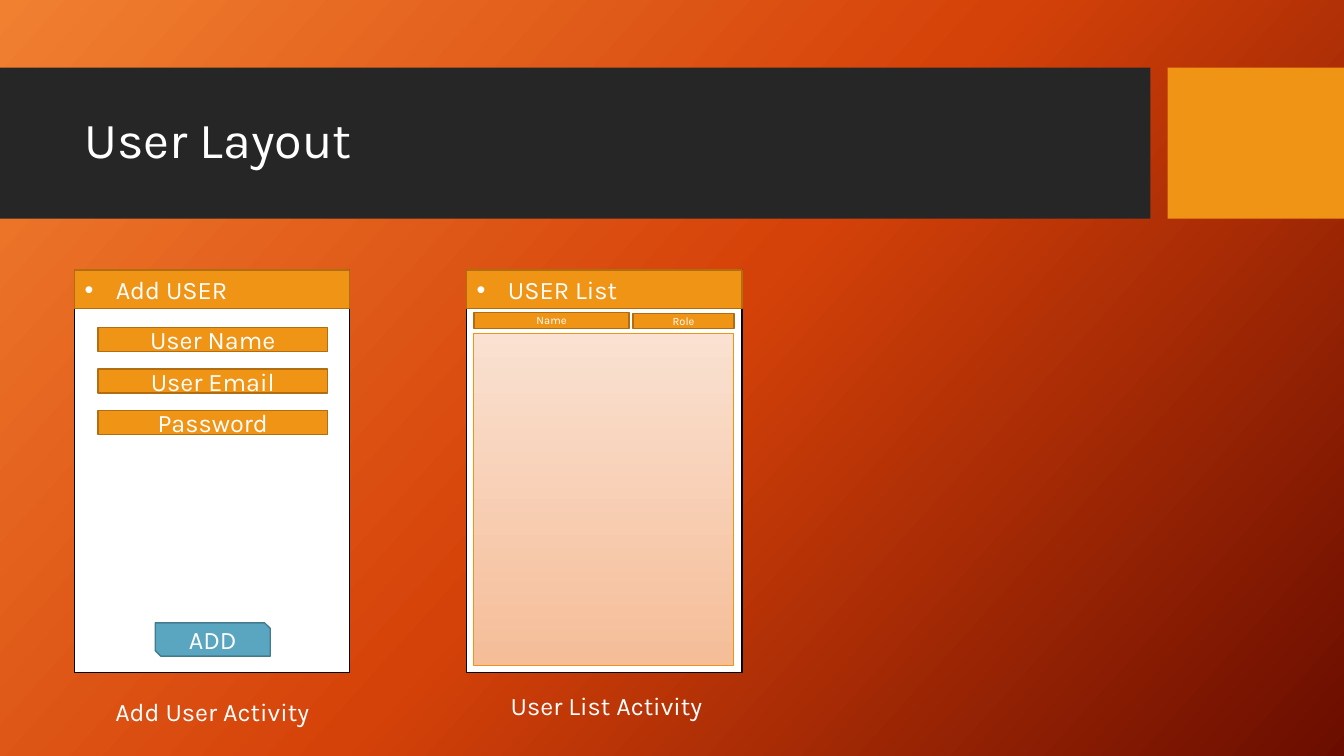
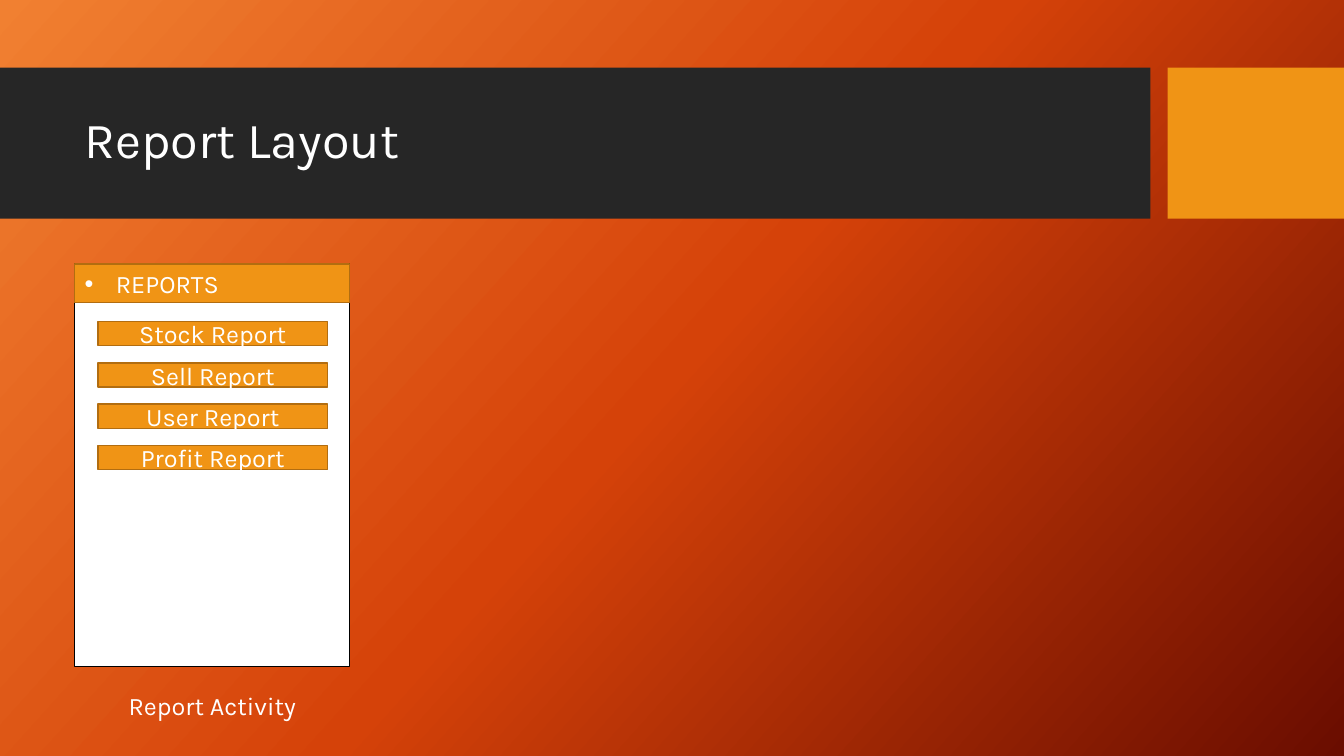
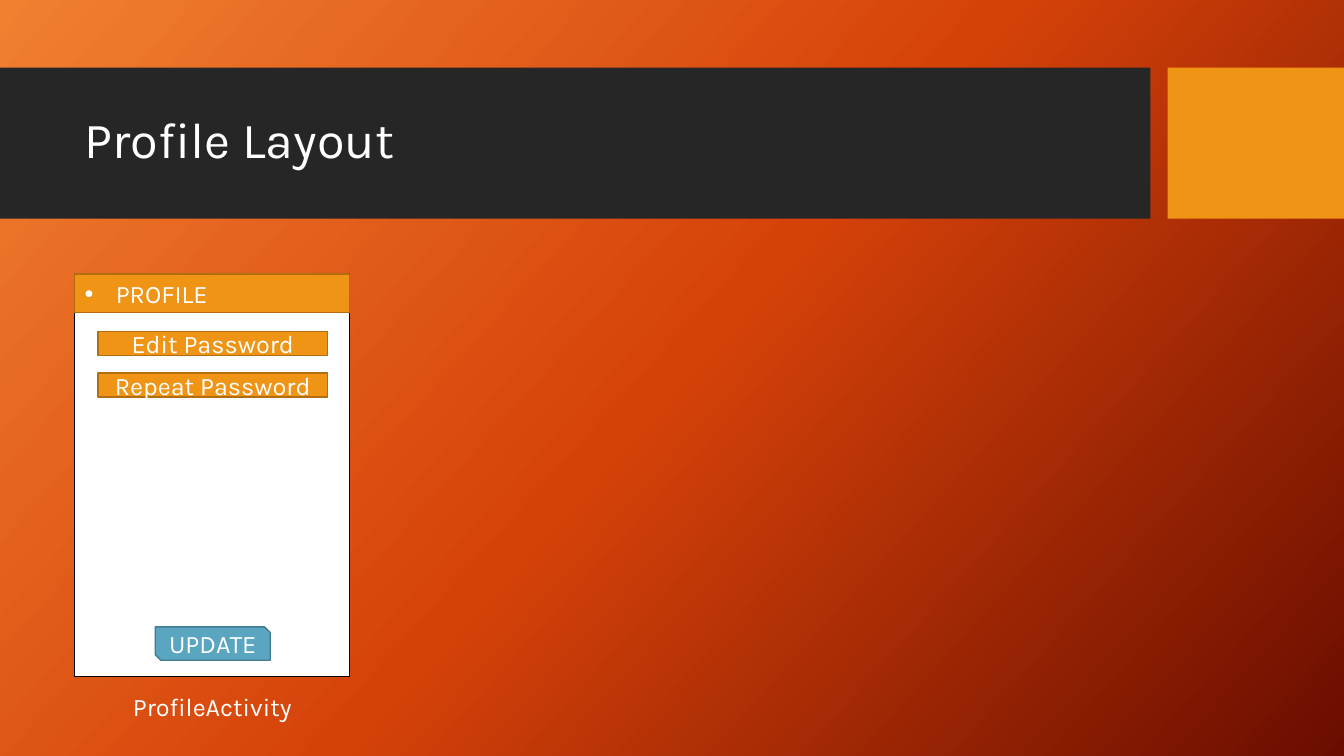
from lxml import etree
from pptx import Presentation
from pptx.dml.color import RGBColor
from pptx.enum.shapes import MSO_SHAPE
from pptx.enum.text import MSO_ANCHOR, MSO_AUTO_SIZE, PP_ALIGN
from pptx.oxml.ns import qn
from pptx.util import Inches, Pt

RECT, SNIPPED = MSO_SHAPE.RECTANGLE, MSO_SHAPE.SNIP_2_DIAG_RECTANGLE
MIDDLE, TOP = MSO_ANCHOR.MIDDLE, MSO_ANCHOR.TOP
LEFT, CENTER = PP_ALIGN.LEFT, PP_ALIGN.CENTER
GROW = MSO_AUTO_SIZE.SHAPE_TO_FIT_TEXT

FONT = "Karla"
COLORS = {
    "white": "FFFFFF", "black": "000000", "band": "262626",
    "orange": "F09415", "orange_line": "B26D10",
    "blue": "5AA6C0", "blue_line": "437B8E",
}
BACKGROUND = [(0, "F18031"), (50, "D54209"), (100, "6A0D00")]
LIST_PANEL = [(0, "FAE1D1"), (100, "F5BD98")]

# Content: each slide holds phone screens; at and caption_at are left, top in inches
SLIDES = [
    {"title": "User Layout", "screens": [
        {"at": (0.74, 2.68), "header": "Add USER",
         "fields": ["User Name", "User Email", "Password"], "button": "ADD",
         "caption": "Add User Activity", "caption_at": (0.43, 6.86)},
        {"at": (4.63, 2.68), "header": "USER List",
         "columns": [("Name", 0.07, 0.42, 1.54, 0.16), ("Role", 1.65, 0.43, 1, 0.15)],
         "caption": "User List Activity", "caption_at": (4.34, 6.8)},
    ]},
    {"title": "Report Layout", "screens": [
        {"at": (0.74, 2.62), "header": "REPORTS",
         "fields": ["Stock Report", "Sell Report", "User Report", "Profit Report"],
         "caption": "Report Activity", "caption_at": (0.43, 6.8)},
    ]},
    {"title": "Profile Layout", "screens": [
        {"at": (0.74, 2.72), "header": "PROFILE",
         "fields": ["Edit Password", "Repeat Password"], "button": "UPDATE",
         "caption": "ProfileActivity", "caption_at": (0.43, 6.81)},
    ]},
]

# Screen geometry in inches, offsets from the screen's top left corner
SCREEN_W, SCREEN_H, HEADER_H = 2.73, 3.99, 0.38
FIELD_X, FIELD_Y, FIELD_W, FIELD_H, FIELD_PITCH = 0.23, 0.57, 2.28, 0.24, 0.41
BUTTON_X, BUTTON_Y, BUTTON_W, BUTTON_H = 0.8, 3.5, 1.14, 0.33
PANEL_X, PANEL_Y, PANEL_W, PANEL_H = 0.07, 0.63, 2.58, 3.29
BULLET_INDENT = Inches(0.31)


def color(name):
    return RGBColor.from_string(COLORS[name])


def set_gradient(fill, element, stops, clockwise_angle):
    fill.gradient()
    fill.gradient_angle = 360 - clockwise_angle
    stop_list = element.find(".//" + qn("a:gsLst"))
    for old_stop in list(stop_list):
        stop_list.remove(old_stop)
    for percent, hex_color in stops:
        stop = etree.SubElement(stop_list, qn("a:gs"), pos=str(percent * 1000))
        etree.SubElement(stop, qn("a:srgbClr"), val=hex_color)


def write(shape, text, size=18, align=CENTER, anchor=MIDDLE, bullet=False, spacing=None):
    frame = shape.text_frame
    frame.word_wrap = True
    frame.vertical_anchor = anchor
    paragraph = frame.paragraphs[0]
    paragraph.alignment = align
    paragraph.line_spacing = spacing
    run = paragraph.add_run()
    run.text = text
    run.font.name, run.font.size = FONT, Pt(size)
    run.font.color.rgb = color("white")
    if bullet:
        properties = paragraph._p.get_or_add_pPr()
        properties.set("marL", str(BULLET_INDENT))
        properties.set("indent", str(-BULLET_INDENT))
        etree.SubElement(properties, qn("a:buFont"), typeface="Arial")
        etree.SubElement(properties, qn("a:buChar"), char="•")


def add_box(slide, box, fill="orange", line="orange_line", line_width=1, kind=RECT):
    shape = slide.shapes.add_shape(kind, *map(Inches, box))
    shape.shadow.inherit = False
    shape.fill.solid()
    shape.fill.fore_color.rgb = color(fill)
    if line:
        shape.line.color.rgb = color(line)
        shape.line.width = Pt(line_width)
    else:
        shape.line.fill.background()
    return shape


def add_text(slide, box, text, **text_format):
    label = slide.shapes.add_textbox(*map(Inches, box))
    write(label, text, **text_format)
    return label


def add_title(slide, title):
    add_box(slide, (0, 0.67, 11.41, 1.5), fill="band", line=None)
    add_box(slide, (11.58, 0.67, 1.75, 1.5), line=None)
    add_text(slide, (0.74, 0.82, 10.51, 1.18), title, size=36, align=LEFT, spacing=0.9)


def add_screen(slide, screen):
    x, y = screen["at"]
    add_box(slide, (x, y, SCREEN_W, SCREEN_H), fill="white", line="black")
    header = add_box(slide, (x, y, SCREEN_W, HEADER_H))
    write(header, screen["header"], align=LEFT, bullet=True)

    # Form fields and button
    for row, name in enumerate(screen.get("fields", [])):
        top = y + FIELD_Y + row * FIELD_PITCH
        write(add_box(slide, (x + FIELD_X, top, FIELD_W, FIELD_H)), name)
    if "button" in screen:
        button = add_box(slide, (x + BUTTON_X, y + BUTTON_Y, BUTTON_W, BUTTON_H),
                         fill="blue", line="blue_line", kind=SNIPPED)
        write(button, screen["button"])

    # List columns above their panel
    if "columns" in screen:
        for name, dx, dy, width, height in screen["columns"]:
            write(add_box(slide, (x + dx, y + dy, width, height)), name, size=8)
        panel = add_box(slide, (x + PANEL_X, y + PANEL_Y, PANEL_W, PANEL_H),
                        line="orange", line_width=0.75)
        set_gradient(panel.fill, panel.element, LIST_PANEL, 90)

    caption = add_text(slide, (*screen["caption_at"], 3.35, 0.4), screen["caption"], anchor=TOP)
    caption.text_frame.auto_size = GROW


def main():
    deck = Presentation()
    deck.slide_width, deck.slide_height = Inches(13.33), Inches(7.5)
    master = deck.slide_master
    set_gradient(master.background.fill, master.element, BACKGROUND, 42)
    blank = deck.slide_layouts[6]
    for content in SLIDES:
        slide = deck.slides.add_slide(blank)
        add_title(slide, content["title"])
        for screen in content["screens"]:
            add_screen(slide, screen)
    deck.save("out.pptx")


if __name__ == "__main__":
    main()
